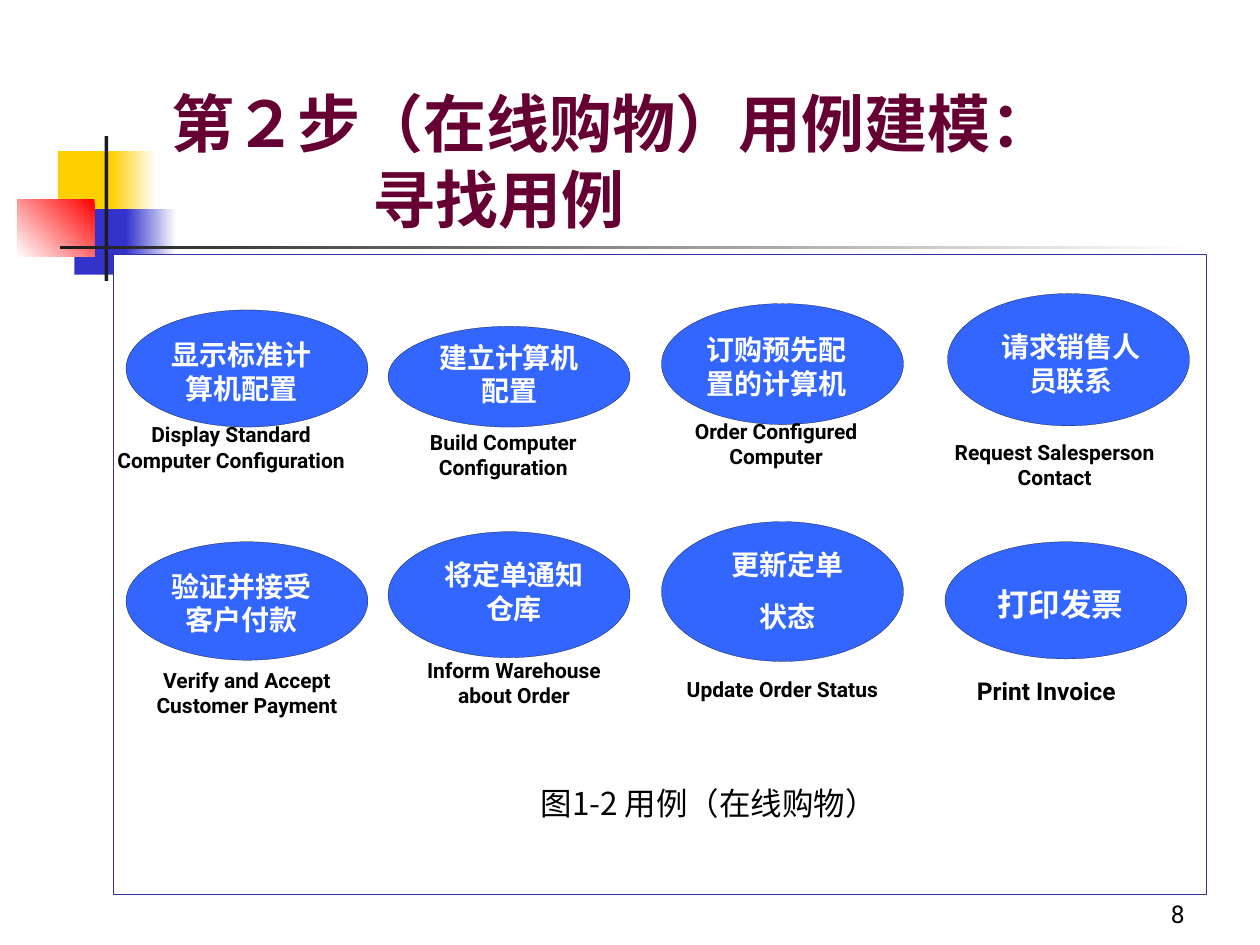
from lxml import etree
from pptx import Presentation
from pptx.dml.color import RGBColor
from pptx.enum.shapes import MSO_SHAPE as Shape
from pptx.enum.text import MSO_ANCHOR as Anchor, MSO_AUTO_SIZE as Auto, PP_ALIGN as Align
from pptx.oxml.ns import qn
from pptx.util import Inches, Pt

COLORS = dict(white="FFFFFF", black="000000", ink="1C1C1C", yellow="FFCF01",
              navy="3333CC", red="FF0000", frame="333399", oval="3366FF",
              title="660033")
LATIN, CJK = "Roboto", "Noto Sans CJK SC"

DECOR = [
    ((0.46, 1.2, 0.48, 0.52), "yellow", None),
    ((0.88, 1.2, 0.36, 0.52), ("white", "yellow"), 180),
    ((0.59, 1.66, 0.46, 0.52), "navy", None),
    ((1, 1.66, 0.4, 0.52), ("white", "navy"), 180),
    ((0.14, 1.58, 0.61, 0.46), ("red", "white"), 225),
    ((0.83, 1.08, 0.03, 1.15), "ink", None),
    ((0.48, 1.95, 9, 0.03), ("white", "ink"), 180),
]
TITLE = ["第２步（在线购物）用例建模：", "寻找用例"]
CAPTION = ["图1-2 用例（在线购物）"]

OVAL_WIDTH = 1.92
NAME = dict(size=16, bold=True, color="white")
LABEL = dict(size=12, bold=True, color="black")
USE_CASES = [
    dict(oval=(1, 2.46, 0.93),
         name=((1.25, 2.63, 1.33, 0.64), ["显示标准计算机配置"]),
         label=((0.75, 3.3, 2.17, 0.7), ["Display Standard Computer Configuration"])),
    dict(oval=(3.08, 2.59, 0.8),
         name=((3.33, 2.65, 1.42, 0.64), ["建立计算机配置"]),
         label=((2.91, 3.36, 2.17, 0.5), ["Build Computer Configuration"])),
    dict(oval=(1, 4.3, 0.94),
         name=((1.25, 4.47, 1.33, 0.64), ["验证并接受客户付款"]),
         label=((1, 5.25, 1.92, 0.5), ["Verify and Accept Customer Payment"])),
    dict(oval=(5.25, 2.41, 0.96),
         name=((5.5, 2.59, 1.33, 0.64), ["订购预先配置的计算机"]),
         label=((5.16, 3.27, 2, 0.5), ["Order Configured Computer"])),
    dict(oval=(3.08, 4.22, 1),
         name=((3.33, 4.38, 1.5, 0.64), ["将定单通知仓库"]),
         label=((3.08, 5.17, 2, 0.5), ["Inform Warehouse about Order"])),
    dict(oval=(5.25, 4.14, 1.11),
         name=((5.5, 4.3, 1.5, 0.77), ["更新定单", "状态"]),
         label=((5, 5.32, 2.42, 0.3), ["Update Order Status"])),
    dict(oval=(7.52, 2.33, 1.05),
         name=((7.75, 2.57, 1.5, 0.64), ["请求销售人员联系"]),
         label=((7.33, 3.44, 2.08, 0.5), ["Request Salesperson Contact"])),
    dict(oval=(7.5, 4.3, 0.93),
         name=((7.75, 4.59, 1.33, 0.4), ["打印发票"]),
         label=((7.28, 5.32, 2.05, 0.34), ["Print Invoice"]),
         name_size=18, label_size=14),
]


def rgb(name):
    return RGBColor.from_string(COLORS[name])


def add_box(shapes, kind, box, fill, angle=None, line=None):
    sp = shapes.add_shape(kind, *map(Inches, box))
    sp.shadow.inherit = False
    if angle is None:
        sp.fill.solid()
        sp.fill.fore_color.rgb = rgb(fill)
    else:
        sp.fill.gradient()
        sp.fill.gradient_angle = angle
        for stop, name in zip(sp.fill.gradient_stops, fill):
            stop.color.rgb = rgb(name)
    if line:
        sp.line.color.rgb = rgb(line)
        sp.line.width = Pt(0.11)
    else:
        sp.line.fill.background()
    return sp


def add_text(shapes, box, lines, size, color, bold=False, font=LATIN,
             align=Align.CENTER, anchor=Anchor.TOP, auto=Auto.SHAPE_TO_FIT_TEXT,
             gap=0):
    tf = shapes.add_textbox(*map(Inches, box)).text_frame
    for key, value in dict(word_wrap=True, auto_size=auto, vertical_anchor=anchor).items():
        setattr(tf, key, value)
    for i, line in enumerate(lines):
        p = tf.paragraphs[0] if i == 0 else tf.add_paragraph()
        p.alignment = align
        if i:
            p.space_before = Pt(gap)
        r = p.add_run()
        r.text = line
        for key, value in dict(name=font, size=Pt(size), bold=bold).items():
            setattr(r.font, key, value)
        r.font.color.rgb = rgb(color)
        etree.SubElement(r.font._element, qn("a:ea"), typeface=CJK)
    return tf


def main():
    prs = Presentation()
    prs.slide_width, prs.slide_height = Inches(10), Inches(7.5)
    s = prs.slides.add_slide(prs.slide_layouts[6])

    for box, fill, angle in DECOR:
        add_box(s.shapes, Shape.RECTANGLE, box, fill, angle)
    tf = add_text(s.shapes, (1.26, 0.67, 8.52, 1.25), TITLE, 36, "title", bold=True,
                  align=Align.LEFT, anchor=Anchor.BOTTOM, auto=Auto.NONE)
    tf.paragraphs[1]._p.get_or_add_pPr().set("marL", str(Inches(1.6)))

    add_box(s.shapes, Shape.RECTANGLE, (0.9, 2.02, 8.67, 5.08), "white", line="frame")
    add_text(s.shapes, (3.25, 6.17, 4.75, 0.4), CAPTION, 18, "black", font=CJK)

    for case in USE_CASES:
        group = s.shapes.add_group_shape().shapes
        left, top, height = case["oval"]
        add_box(group, Shape.OVAL, (left, top, OVAL_WIDTH, height), "oval", line="black")
        for part, style in (("name", NAME), ("label", LABEL)):
            size = case.get(f"{part}_size", style["size"])
            add_text(group, *case[part], **{**style, "size": size}, gap=10)

    add_text(s.shapes, (7.42, 6.92, 2.08, 0.5), ["8"], 14, "black",
             align=Align.RIGHT, anchor=Anchor.BOTTOM, auto=Auto.NONE)
    prs.save("out.pptx")


if __name__ == "__main__":
    main()
